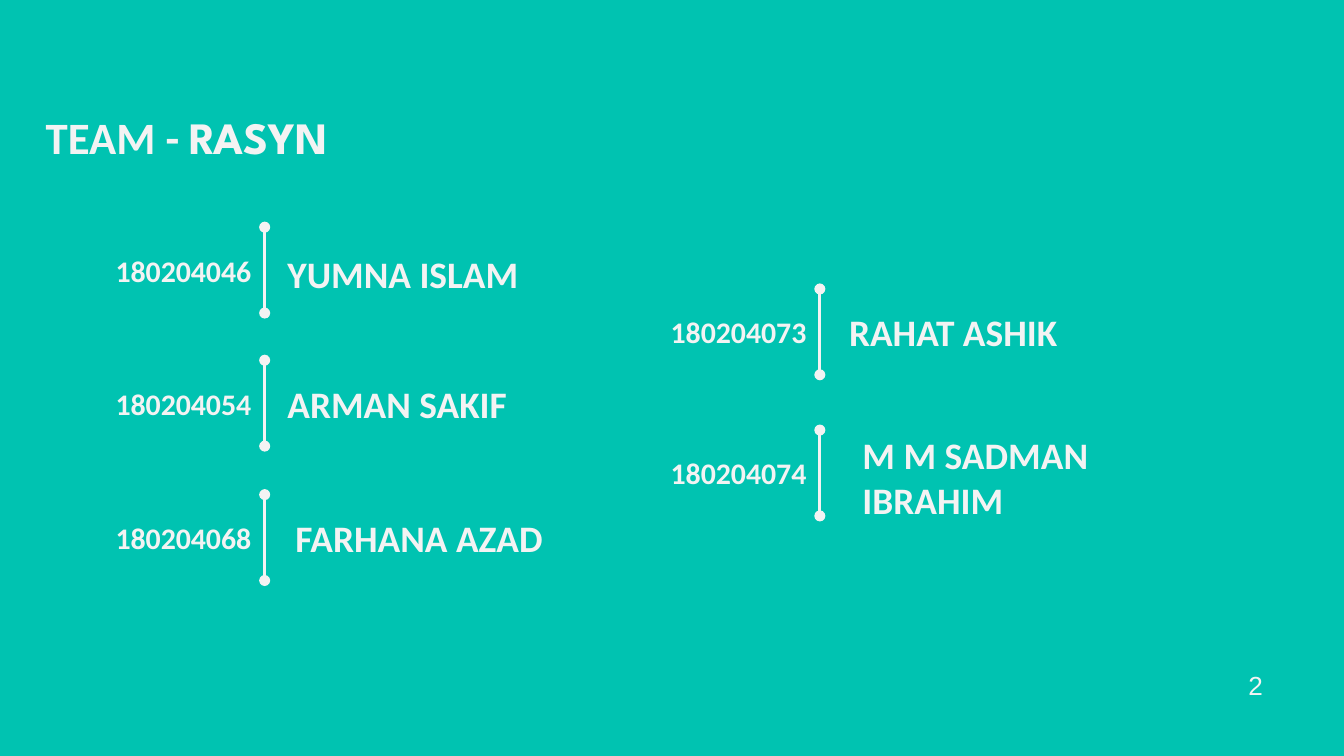
from pptx import Presentation
from pptx.dml.color import RGBColor as Rgb
from pptx.enum.shapes import MSO_CONNECTOR as Conn
from pptx.enum.text import MSO_ANCHOR as Anchor, MSO_AUTO_SIZE as Fit, PP_ALIGN as Align
from pptx.oxml.ns import qn
from pptx.util import Pt
from lxml import etree

COLORS = {"back": "00C3B1", "text": "F3F3F3"}
PAD = 7.2
BAR = 46
BOX = 33
ID_WIDE = 93.6
NAME_WIDE = 184.3

# bar x, bar top, number, name, name left, name drop
TEAM = [
    (141.8, 121.7, "180204046", "YUMNA ISLAM", 146.9, 2),
    (141.8, 193, "180204054", "ARMAN SAKIF", 146.9, 0),
    (141.8, 265, "180204068", "FARHANA AZAD", 151.2, 0),
    (439.2, 154.8, "180204073", "RAHAT ASHIK", 447.8, 0),
    (439.2, 230.4, "180204074", "M M SADMAN IBRAHIM", 455, 2),
]


def paint(target, key):
    target.rgb = Rgb.from_string(COLORS[key])


def fill_text(shape, runs, size, align=Align.LEFT, bold=True):
    """Write (text, font name) runs into a vertically centred shape."""
    frame = shape.text_frame
    frame.word_wrap = True
    frame.auto_size = Fit.NONE
    frame.vertical_anchor = Anchor.MIDDLE
    frame.margin_left = frame.margin_right = Pt(PAD)
    frame.margin_top = frame.margin_bottom = Pt(PAD)
    para = frame.paragraphs[0]
    para.alignment = align
    for text, face in runs:
        run = para.add_run()
        run.text = text
        run.font.name = face
        run.font.size = Pt(size)
        run.font.bold = bold
        paint(run.font.color, "text")


def add_title(slide):
    title = slide.shapes.title
    title.left, title.top = Pt(17.3), Pt(56.4)
    title.width, title.height = Pt(275), Pt(BOX)
    fill_text(title, [("TEAM - ", "Calibri"), ("RASYN", "League Spartan")], 24)


def add_label(slide, text, left, mid, wide, size, align=Align.LEFT):
    box = slide.shapes.add_textbox(Pt(left), Pt(mid - BOX / 2), Pt(wide), Pt(BOX))
    fill_text(box, [(text, "Calibri")], size, align)


def add_bar(slide, x, top):
    """Draw an upright line with a dot at each end."""
    bar = slide.shapes.add_connector(Conn.STRAIGHT, Pt(x), Pt(top), Pt(x), Pt(top + BAR))
    bar.line.width = Pt(1.5)
    bar.line.fill.solid()
    paint(bar.line.fill.fore_color, "text")
    props = bar._element.spPr
    line = props.find(qn("a:ln"))
    for end in ("a:headEnd", "a:tailEnd"):
        etree.SubElement(line, qn(end), type="oval")
    etree.SubElement(props, qn("a:effectLst"))


def add_member(slide, x, top, number, name, left, drop):
    mid = top + BAR / 2
    add_label(slide, name, left, mid + drop, NAME_WIDE, 20)
    add_label(slide, number, x - ID_WIDE, mid, ID_WIDE, 16, Align.RIGHT)
    add_bar(slide, x, top)


def add_page(slide):
    box = slide.shapes.add_textbox(Pt(661.7), Pt(355), Pt(22), Pt(24.5))
    fill_text(box, [("2", "Arial")], 14, bold=False)


def main():
    deck = Presentation()
    deck.slide_width, deck.slide_height = Pt(720), Pt(405)
    slide = deck.slides.add_slide(deck.slide_layouts[5])
    slide.background.fill.solid()
    paint(slide.background.fill.fore_color, "back")
    add_title(slide)
    for member in TEAM:
        add_member(slide, *member)
    add_page(slide)
    deck.save("out.pptx")


if __name__ == "__main__":
    main()
